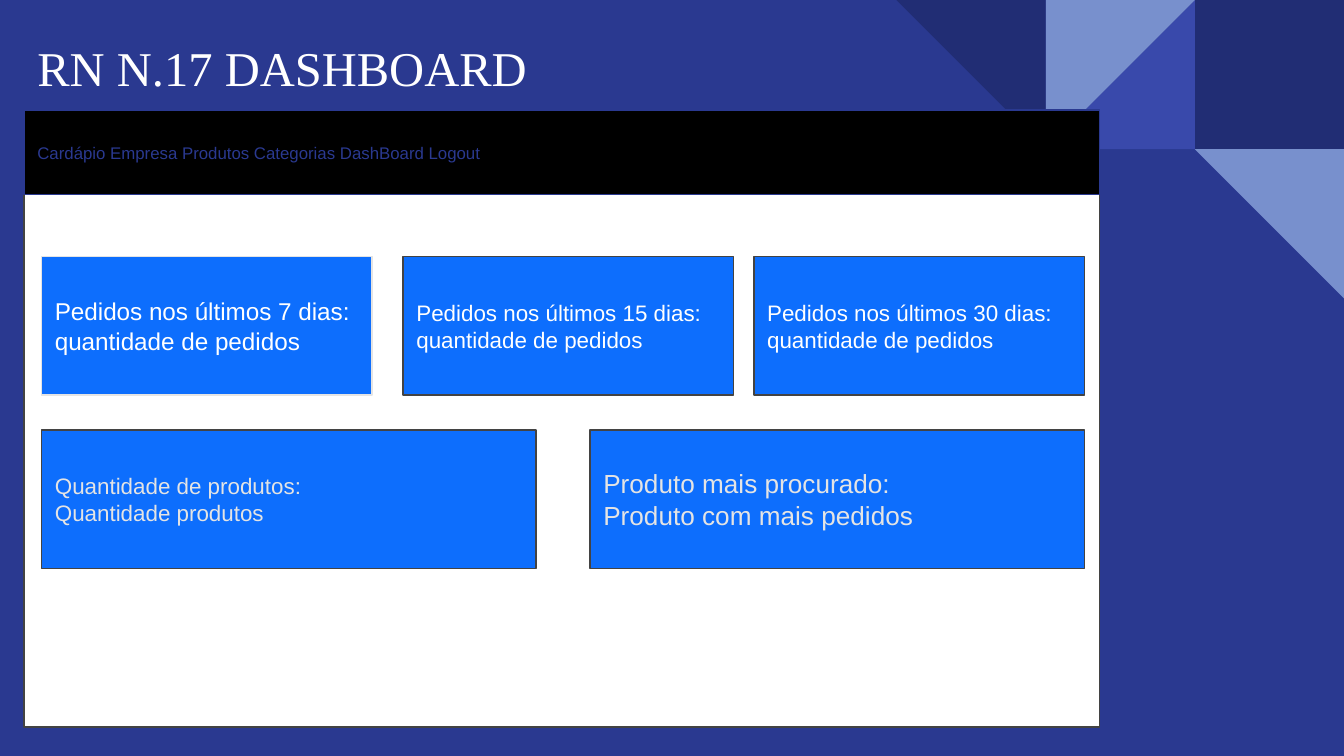
import pptx
import pptx.util
import pptx.dml.color
import pptx.enum.shapes
import pptx.enum.text

Inches = pptx.util.Inches
RGBColor = pptx.dml.color.RGBColor
Shape = pptx.enum.shapes.MSO_SHAPE
Anchor = pptx.enum.text.MSO_ANCHOR

NAVY = RGBColor(0x2A, 0x39, 0x90)
DARK_NAVY = RGBColor(0x21, 0x2D, 0x74)
INDIGO = RGBColor(0x39, 0x49, 0xAB)
PERIWINKLE = RGBColor(0x78, 0x90, 0xCD)
BLUE = RGBColor(0x0D, 0x6E, 0xFD)
GRAY = RGBColor(0x43, 0x43, 0x43)
SILVER = RGBColor(0xE4, 0xE4, 0xE4)
WHITE = RGBColor(0xFF, 0xFF, 0xFF)
BLACK = RGBColor(0x00, 0x00, 0x00)

deck = pptx.Presentation()
deck.slide_width = Inches(10)
deck.slide_height = Inches(10 * 9 / 16)
page = deck.slides.add_slide(deck.slide_layouts[6])
page.background.fill.solid()
page.background.fill.fore_color.rgb = NAVY


def add_box(left, top, width, height, fill, line=None, kind=Shape.RECTANGLE):
    box = page.shapes.add_shape(
        kind, Inches(left), Inches(top), Inches(width), Inches(height))
    box.shadow.inherit = False
    box.fill.solid()
    box.fill.fore_color.rgb = fill
    if line is None:
        box.line.fill.background()
    else:
        box.line.color.rgb = line
        box.line.width = pptx.util.Pt(0.75)
    return box


def write_text(box, text, size, color, font="Arial", anchor=Anchor.MIDDLE):
    frame = box.text_frame
    frame.word_wrap = True
    frame.vertical_anchor = anchor
    frame.margin_left = frame.margin_right = Inches(0.1)
    frame.margin_top = frame.margin_bottom = Inches(0.1)
    frame.text = text
    for para in frame.paragraphs:
        para.alignment = pptx.enum.text.PP_ALIGN.LEFT
        for span in para.runs:
            span.font.name = font
            span.font.size = pptx.util.Pt(size)
            span.font.color.rgb = color


tile = 1.11
tiles = [
    (1, 0, Shape.RECTANGLE, 0, DARK_NAVY),
    (2, 0, Shape.RIGHT_TRIANGLE, 270, INDIGO),
    (2, 0, Shape.RIGHT_TRIANGLE, 90, PERIWINKLE),
    (3, 0, Shape.RIGHT_TRIANGLE, 180, DARK_NAVY),
    (1, 1, Shape.RIGHT_TRIANGLE, 180, PERIWINKLE),
]
for column_from_right, row, kind, angle, color in tiles:
    ornament = add_box(10 - column_from_right * tile, row * tile,
                       tile, tile, color, kind=kind)
    ornament.rotation = angle

add_box(0.18, 0.82, 8, 4.59, WHITE, GRAY)

cards = [
    (0.31, 1.91, 2.46, SILVER, 13, WHITE,
     "Pedidos nos últimos 7 dias: quantidade de pedidos"),
    (3, 1.91, 2.46, GRAY, 12, WHITE,
     "Pedidos nos últimos 15 dias:\nquantidade de pedidos"),
    (5.61, 1.91, 2.46, GRAY, 12, WHITE,
     "Pedidos nos últimos 30 dias:\nquantidade de pedidos"),
    (0.31, 3.2, 3.68, GRAY, 12, SILVER,
     "Quantidade de produtos:\nQuantidade produtos"),
    (4.39, 3.2, 3.68, GRAY, 14, SILVER,
     "Produto mais procurado:\nProduto com mais pedidos"),
]
for left, top, width, line, size, color, text in cards:
    card = add_box(left, top, width, 1.03, BLUE, line)
    write_text(card, text, size=size, color=color)

menu = add_box(0.18, 0.82, 8, 0.63, BLACK, NAVY)
write_text(menu, "Cardápio Empresa Produtos Categorias DashBoard Logout",
           size=9, color=NAVY)

title = page.shapes.add_textbox(
    Inches(0.18), Inches(0.18), Inches(8.46), Inches(0.64))
write_text(title, "RN N.17 DASHBOARD", size=26, color=WHITE,
           font="Times New Roman", anchor=Anchor.TOP)

deck.save("out.pptx")
